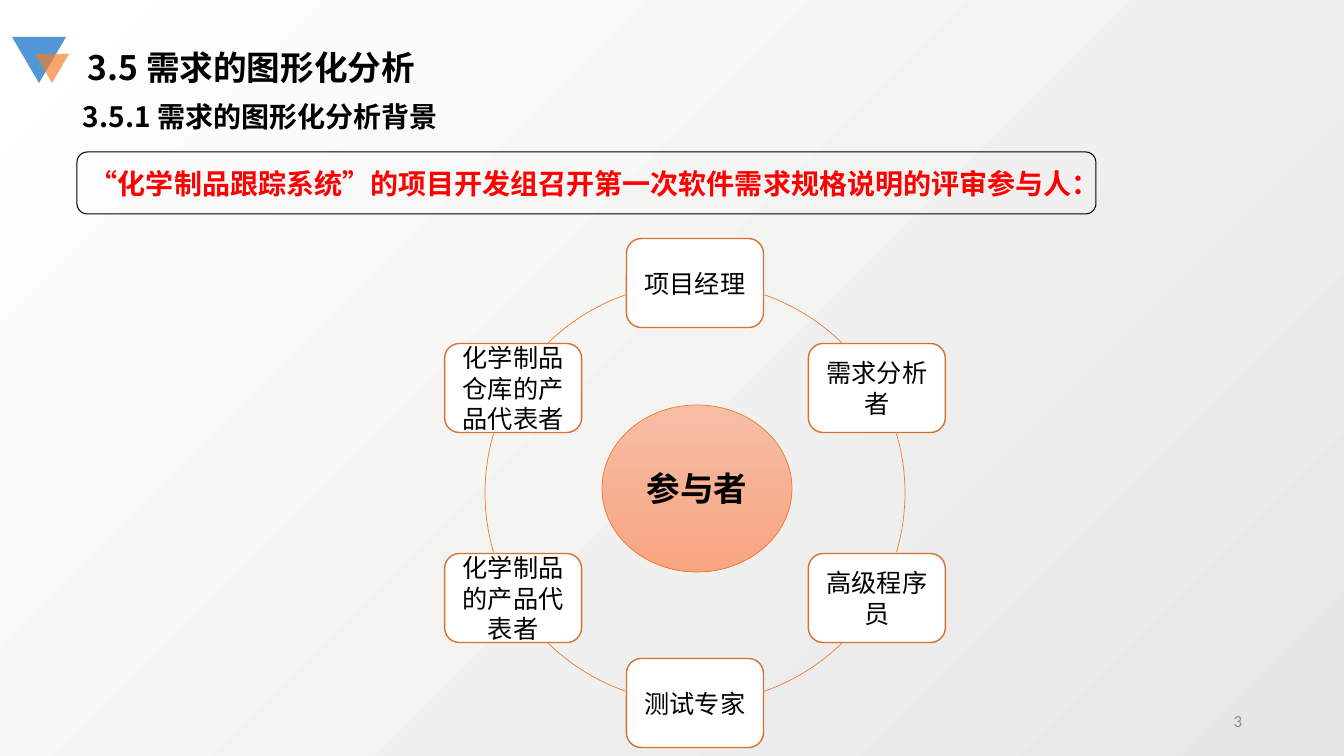
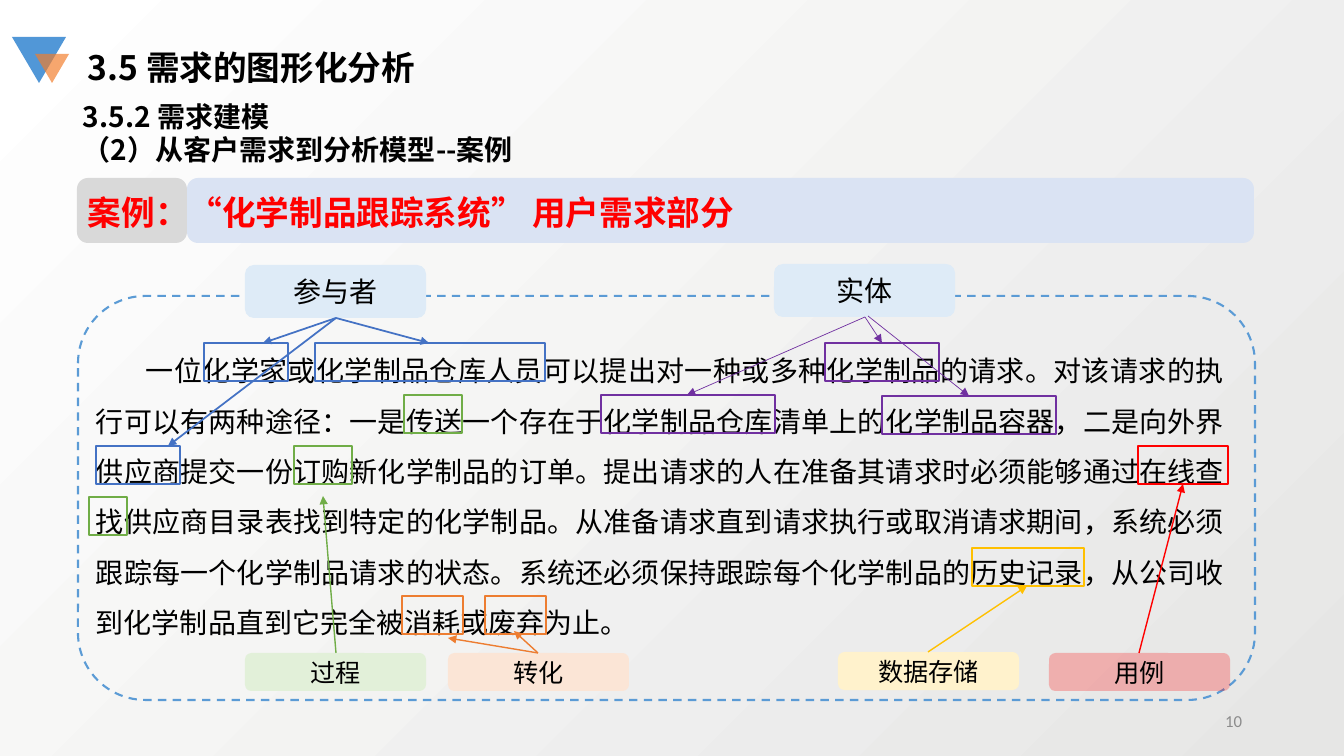
from math import cos, radians, sin

from lxml.etree import SubElement
from pptx import Presentation
from pptx.dml.color import RGBColor as RGB
from pptx.enum.dml import MSO_LINE as DASH
from pptx.enum.shapes import MSO_CONNECTOR as LINK, MSO_SHAPE as SHAPE
from pptx.enum.text import MSO_ANCHOR as ANCHOR, PP_ALIGN as ALIGN
from pptx.oxml.ns import qn
from pptx.util import Pt

PX = 9071
NOTO = "Noto Sans CJK SC"
HUES = {
    "black": "000000", "white": "FFFFFF", "mist": "E6E6E5", "gray": "D9D9D9",
    "page": "8C8C8C", "red": "FF0000", "logo": "5197D7", "flame": "F37D2A",
    "rust": "D7712C", "orange": "ED7D31", "peach": "F7BDA5", "coral": "F8A582",
    "band": "DAE3F3", "sky": "DEEBF7", "dash": "5B9BD5", "blue": "4472C4",
    "purple": "7030A0", "green": "70AD47", "gold": "FFC000",
    "mint": "E2F0D9", "blush": "FBE5D6", "cream": "FFF2CC",
}
RGBS = {name: RGB.from_string(code) for name, code in HUES.items()}


def draw(slide, kind, box, fill=None, line=None, width=1, alpha=100):
    shape = slide.shapes.add_shape(kind, *(round(v * PX) for v in box))
    shape.shadow.inherit = False
    if fill:
        shape.fill.solid()
        shape.fill.fore_color.rgb = RGBS[fill]
        if alpha < 100:
            tint = shape.fill._xPr.find(qn("a:solidFill"))[0]
            SubElement(tint, qn("a:alpha"), val=str(alpha * 1000))
    else:
        shape.fill.background()
    if line:
        shape.line.color.rgb = RGBS[line]
        shape.line.width = Pt(width)
    else:
        shape.line.fill.background()
    return shape


def write(shape, text, size, font="Calibri", color="black", bold=False,
          align=ALIGN.CENTER, anchor=ANCHOR.MIDDLE, pitch=1.2):
    frame = shape.text_frame
    frame.text = text
    frame.word_wrap = True
    frame.vertical_anchor = anchor
    for para in frame.paragraphs:
        para.alignment = align
        para.line_spacing = Pt(round(size * pitch, 1))
        for run in para.runs:
            run.font.size = Pt(size)
            run.font.name = font
            run.font.bold = bold
            run.font.color.rgb = RGBS[color]
            SubElement(run.font._element, qn("a:ea"), typeface=NOTO)
    return frame


deck = Presentation()
deck.slide_width = 1344 * PX
deck.slide_height = 756 * PX
back = deck.slide_master.background.fill
back.gradient()
back.gradient_angle = 135
for stop, hue in zip(back.gradient_stops, ("mist", "white")):
    stop.color.rgb = RGBS[hue]

slides = []
for number, topic in (
    ("3", "3.5.1 需求的图形化分析背景"),
    ("10", "3.5.2 需求建模\n（2）从客户需求到分析模型--案例"),
):
    slide = deck.slides.add_slide(deck.slide_layouts[6])
    slides.append(slide)
    for box, hue, alpha in (
        ((12, 37, 54, 46), "logo", 100),
        ((35, 54, 34, 29), "flame", 68),
    ):
        draw(slide, SHAPE.ISOSCELES_TRIANGLE, box, hue, alpha=alpha).rotation = 180
    for text, box, size in (
        ("3.5 需求的图形化分析", (78, 42, 420, 50), 24),
        (topic, (73, 94, 856, 78), 20),
    ):
        area = slide.shapes.add_textbox(*(v * PX for v in box))
        write(area, text, size, NOTO, bold=True, align=ALIGN.LEFT, anchor=ANCHOR.TOP)
    area = slide.shapes.add_textbox(950 * PX, 701 * PX, 302 * PX, 40 * PX)
    write(area, number, 12, color="page", align=ALIGN.RIGHT)

team, case = slides

head = draw(team, SHAPE.ROUNDED_RECTANGLE, (77, 152, 1019, 62), line="black", width=0.75)
write(head, "“化学制品跟踪系统”的项目开发组召开第一次软件需求规格说明的评审参与人：",
      20, NOTO, "red", True, ALIGN.LEFT).word_wrap = False

MID_X, MID_Y, RADIUS = 695, 493, 210
CARD_W, CARD_H = 137, 89
for mid, half in ((301.8, 12.5), (0, 16.4), (58.2, 12.5),
                  (121.8, 12.5), (180, 16.4), (238.2, 12.5)):
    arc = draw(team, SHAPE.ARC, (MID_X - RADIUS, MID_Y - RADIUS, 2 * RADIUS, 2 * RADIUS),
               line="orange", width=0.5)
    for i, angle in enumerate((mid - half, mid + half)):
        arc.adjustments[i] = angle % 360 * 0.6

roles = ("项目经理", "需求分析者", "高级程序员", "测试专家",
         "化学制品的产品代表者", "化学制品仓库的产品代表者")
for i, role in enumerate(roles):
    turn = radians(60 * i)
    left = MID_X + RADIUS * sin(turn) - CARD_W / 2
    top = MID_Y - RADIUS * cos(turn) - CARD_H / 2
    card = draw(team, SHAPE.ROUNDED_RECTANGLE, (left, top, CARD_W, CARD_H), "white", "rust")
    frame = write(card, role, 18)
    frame.margin_left = frame.margin_right = 7 * PX
    frame.margin_top = frame.margin_bottom = 7 * PX

hub = draw(team, SHAPE.OVAL, (602, 405, 190, 167), line="orange", width=0.5)
hub.fill.gradient()
hub.fill.gradient_angle = 270
for stop, hue in zip(hub.fill.gradient_stops, ("peach", "coral")):
    stop.color.rgb = RGBS[hue]
write(hub, "参与者", 24, bold=True)

area = case.shapes.add_textbox(86 * PX, 332 * PX, 1148 * PX, 307 * PX)
story = write(
    area,
    "一位化学家或化学制品仓库人员可以提出对一种或多种化学制品的请求。"
    "对该请求的执行可以有两种途径：一是传送一个存在于化学制品仓库清单上的化学制品容器，"
    "二是向外界供应商提交一份订购新化学制品的订单。"
    "提出请求的人在准备其请求时必须能够通过在线查找供应商目录表找到特定的化学制品。"
    "从准备请求直到请求执行或取消请求期间，系统必须跟踪每一个化学制品请求的状态。"
    "系统还必须保持跟踪每个化学制品的历史记录，从公司收到化学制品直到它完全被消耗或废弃为止。",
    20, "Arial", align=ALIGN.JUSTIFY, anchor=ANCHOR.TOP, pitch=1.8)
story.paragraphs[0]._p.get_or_add_pPr().set("indent", str(50 * PX))

draw(case, SHAPE.ROUNDED_RECTANGLE, (187, 178, 1067, 65), "band")
draw(case, SHAPE.ROUNDED_RECTANGLE, (77, 178, 110, 65), "gray")
area = case.shapes.add_textbox(78 * PX, 187 * PX, 1189 * PX, 50 * PX)
write(area, "案例：“化学制品跟踪系统” 用户需求部分", 24, "Arial", "red", True,
      ALIGN.LEFT, ANCHOR.TOP)
frame = draw(case, SHAPE.ROUNDED_RECTANGLE, (78, 296, 1177, 404), line="dash", width=1.5)
frame.line.dash_style = DASH.DASH

terms = (
    (1.25, "blue", ((204, 343, 84), (315, 343, 230), (96, 446, 84))),
    (1.5, "purple", ((825, 343, 114), (882, 396, 174), (601, 395, 174))),
    (1.5, "green", ((294, 446, 58), (404, 395, 58), (89, 497, 38))),
    (1.5, "red", ((1138, 446, 90),)),
    (1.5, "orange", ((402, 596, 61), (485, 596, 61))),
    (1.5, "gold", ((972, 548, 112),)),
)
for width, hue, spots in terms:
    for left, top, wide in spots:
        draw(case, SHAPE.RECTANGLE, (left, top, wide, 38), line=hue, width=width)

labels = (
    ("参与者", 245, 265, 53, 20, "sky", 100),
    ("实体", 774, 264, 53, 20, "sky", 100),
    ("过程", 245, 653, 38, 18, "mint", 100),
    ("转化", 448, 653, 38, 18, "blush", 100),
    ("数据存储", 838, 652, 38, 18, "cream", 100),
    ("用例", 1049, 653, 38, 18, "red", 25),
)
for text, left, top, high, size, hue, alpha in labels:
    label = draw(case, SHAPE.ROUNDED_RECTANGLE, (left, top, 181, high), hue, alpha=alpha)
    write(label, text, size)

arrows = (
    ("blue", 1.25, (336, 318), ((263, 343), (429, 343), (168, 446))),
    ("purple", 0.5, (865, 317), ((882, 343), (687, 395))),
    ("purple", 0.5, (868, 316), ((969, 396),)),
    ("green", 1, (336, 653), ((323, 496),)),
    ("red", 1, (1139, 653), ((1183, 484),)),
    ("gold", 1, (928, 652), ((1027, 586),)),
    ("orange", 1, (538, 653), ((448, 638), (514, 631))),
)
for hue, width, start, ends in arrows:
    for end in ends:
        arrow = case.shapes.add_connector(LINK.STRAIGHT, *(v * PX for v in start + end))
        arrow.line.color.rgb = RGBS[hue]
        arrow.line.width = Pt(width)
        SubElement(arrow.line._get_or_add_ln(), qn("a:tailEnd"), type="triangle")
        SubElement(arrow._element.spPr, qn("a:effectLst"))

deck.save("out.pptx")
